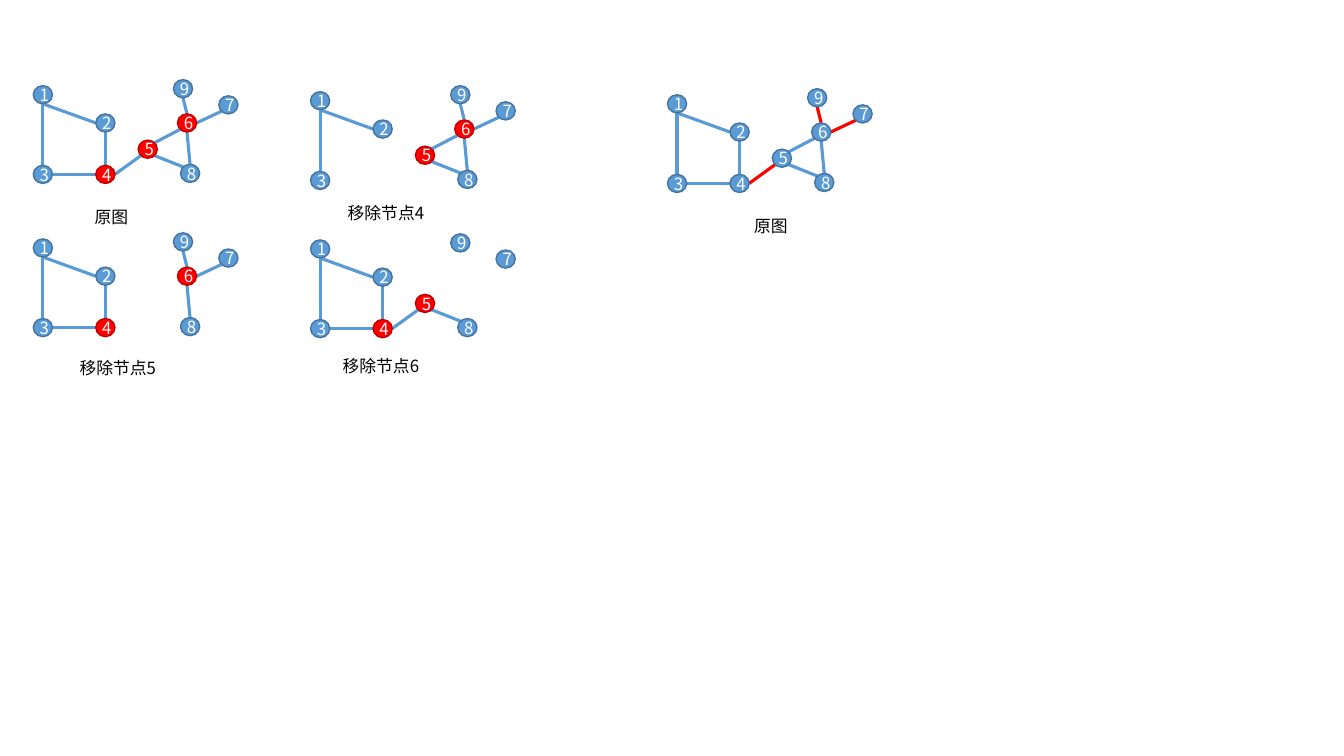
from lxml import etree
from pptx import Presentation
from pptx.dml.color import RGBColor
from pptx.enum import shapes, text
from pptx.oxml.ns import qn
from pptx.util import Inches, Pt

FONT = "Noto Sans CJK SC"
BLUE, BLUE_EDGE = "5B9BD5", "43739E"
RED, RED_EDGE = "FF0000", "C00000"
WHITE, BLACK = "FFFFFF", "000000"
NODE_W, NODE_H = 0.19, 0.18

NODES = {1: (0, 0), 2: (0.62, 0.28), 3: (0, 0.79), 4: (0.62, 0.79), 5: (1.04, 0.54),
         6: (1.43, 0.28), 7: (1.84, 0.1), 8: (1.46, 0.78), 9: (1.39, -0.06)}

SIDES = {"top": (0.5, 0), "left": (0, 0.5), "bottom": (0.5, 1), "right": (1, 0.5),
         "upper left": (0.15, 0.15), "upper right": (0.85, 0.15),
         "lower left": (0.15, 0.85), "lower right": (0.85, 0.85)}

EDGES = [
    (1, "bottom", 2, "left"),
    (3, "top", 1, "bottom"),
    (4, "left", 3, "right"),
    (5, "lower left", 4, "right"),
    (2, "bottom", 4, "top"),
    (6, "lower left", 5, "upper right"),
    (8, "upper left", 5, "lower right"),
    (7, "lower left", 6, "right"),
    (6, "bottom", 8, "top"),
    (9, "bottom", 6, "top"),
]

CUT_NODES = {4, 5, 6}
BRIDGES = {(5, 4), (7, 6), (9, 6)}

PANELS = [
    {"origin": (0.33, 0.85), "removed": None, "red_nodes": CUT_NODES, "red_edges": set(),
     "caption": "原图", "caption_box": (0.84, 2, 0.82, 0.3)},
    {"origin": (3.08, 0.91), "removed": 4, "red_nodes": CUT_NODES, "red_edges": set(),
     "caption": "移除节点4", "caption_box": (3.35, 1.96, 1.15, 0.3)},
    {"origin": (0.33, 2.37), "removed": 5, "red_nodes": CUT_NODES, "red_edges": set(),
     "caption": "移除节点5", "caption_box": (0.69, 3.5, 1.22, 0.3)},
    {"origin": (3.08, 2.38), "removed": 6, "red_nodes": CUT_NODES, "red_edges": set(),
     "caption": "移除节点6", "caption_box": (3.3, 3.48, 1.14, 0.3)},
    {"origin": (6.62, 0.94), "removed": None, "red_nodes": set(), "red_edges": BRIDGES,
     "caption": "原图", "caption_box": (7.38, 2.09, 0.82, 0.3)},
]


def rgb(color):
    return RGBColor.from_string(color)


def write(tf, words, color, align):
    p = tf.paragraphs[0]
    p.alignment = align
    r = p.add_run()
    r.text = words
    for name, value in {"size": Pt(12), "name": FONT}.items():
        setattr(r.font, name, value)
    r.font.color.rgb = rgb(color)
    etree.SubElement(r.font._element, qn("a:ea"), typeface=FONT)


def add_edge(group, start, end, color):
    line = group.shapes.add_connector(
        shapes.MSO_CONNECTOR.STRAIGHT, *map(Inches, start + end))
    line.line.color.rgb = rgb(color)
    line.line.width = Pt(2.25)
    etree.SubElement(line._element.spPr, qn("a:effectLst"))


def add_node(group, number, left, top, fill, outline):
    sp = group.shapes.add_shape(
        shapes.MSO_SHAPE.OVAL, *map(Inches, (left, top, NODE_W, NODE_H)))
    sp.shadow.inherit = False
    sp.fill.solid()
    sp.fill.fore_color.rgb = rgb(fill)
    sp.line.color.rgb = rgb(outline)
    sp.line.width = Pt(1)
    sp.text_frame.vertical_anchor = text.MSO_ANCHOR.MIDDLE
    write(sp.text_frame, str(number), WHITE, text.PP_ALIGN.CENTER)


def add_panel(s, panel):
    group = s.shapes.add_group_shape()
    x0, y0 = panel["origin"]
    places = {n: (x0 + dx, y0 + dy) for n, (dx, dy) in NODES.items()
              if n != panel["removed"]}

    def point(node, side):
        x, y = places[node]
        fx, fy = SIDES[side]
        return x + fx * NODE_W, y + fy * NODE_H

    for a, side_a, b, side_b in EDGES:
        if a in places and b in places:
            color = RED if (a, b) in panel["red_edges"] else BLUE
            add_edge(group, point(a, side_a), point(b, side_b), color)

    for number, (left, top) in places.items():
        colors = (RED, RED_EDGE) if number in panel["red_nodes"] else (BLUE, BLUE_EDGE)
        add_node(group, number, left, top, *colors)

    tf = group.shapes.add_textbox(*map(Inches, panel["caption_box"])).text_frame
    tf.word_wrap = True
    tf.auto_size = text.MSO_AUTO_SIZE.SHAPE_TO_FIT_TEXT
    write(tf, panel["caption"], BLACK, text.PP_ALIGN.LEFT)


def main():
    prs = Presentation()
    prs.slide_width, prs.slide_height = Inches(13.33), Inches(7.5)
    s = prs.slides.add_slide(prs.slide_layouts[6])
    for panel in PANELS:
        add_panel(s, panel)
    prs.save("out.pptx")


if __name__ == "__main__":
    main()
